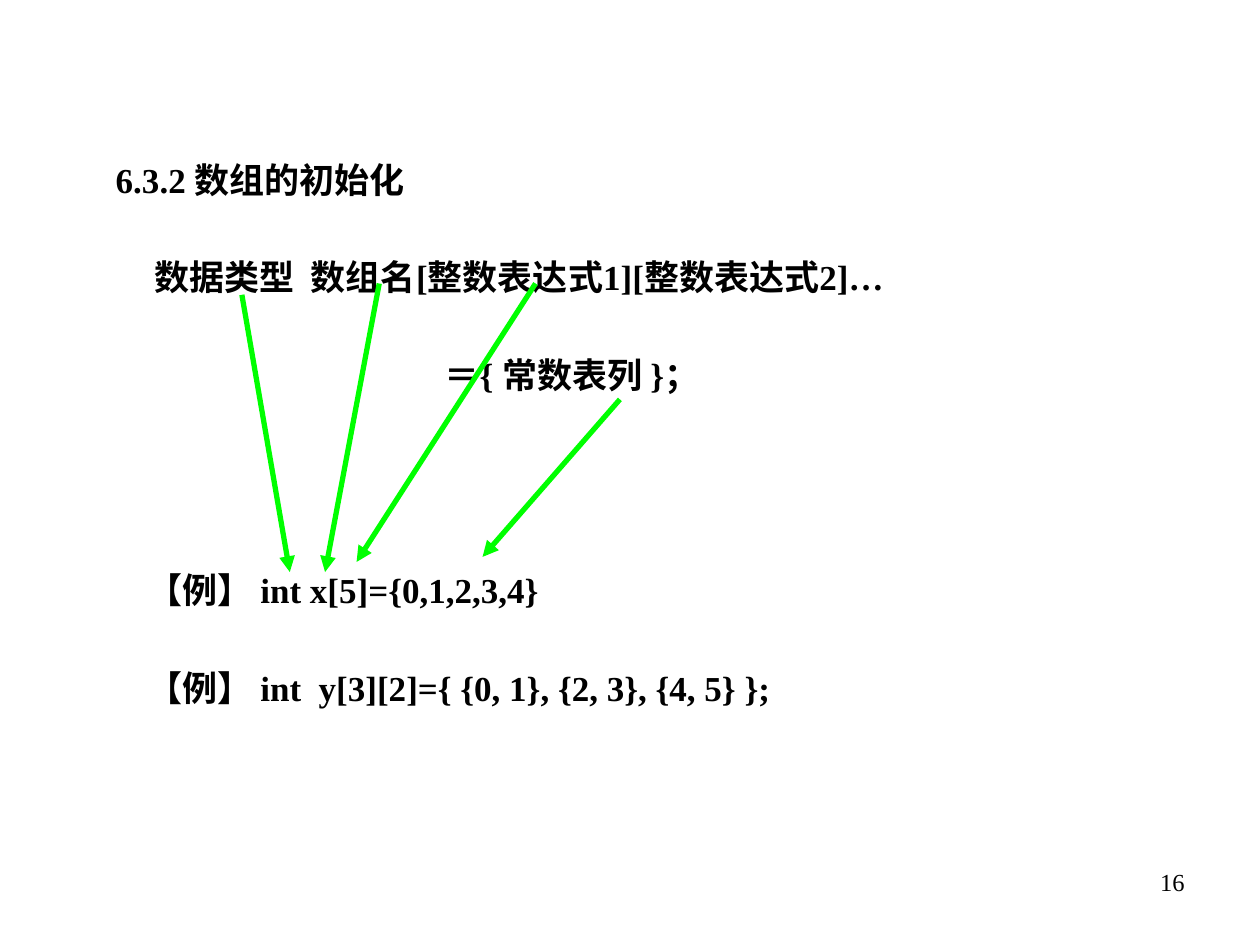
from dataclasses import dataclass

from lxml import etree
from pptx import Presentation
from pptx import util as u
from pptx.dml.color import RGBColor
from pptx.enum import shapes, text
from pptx.oxml import ns


@dataclass(frozen=True)
class Theme:
    font: str = "Times New Roman"
    ink: RGBColor = RGBColor(0, 0, 0)
    arrow: RGBColor = RGBColor(0, 255, 0)
    body_size: float = 20
    number_size: float = 14
    arrow_width: float = 3
    line_spacing: float = 1.8
    gap: float = 12.5
    section_gap: float = 80


THEME = Theme()

# Text, left indent in inches, space before in points
LINES = [
    ("6.3.2 数组的初始化", 0, 0),
    ("数据类型  数组名[整数表达式1][整数表达式2]…", 0.31, THEME.gap),
    ("＝{ 常数表列 }；", 2.61, THEME.gap),
    ("【例】 int x[5]={0,1,2,3,4}", 0.25, THEME.section_gap),
    ("【例】 int  y[3][2]={ {0, 1}, {2, 3}, {4, 5} };", 0.25, THEME.gap),
]

# From each part of the syntax to its place in the example
ARROWS = [
    ((1.92, 2.34), (2.3, 4.54)),
    ((3.01, 2.25), (2.58, 4.54)),
    ((4.25, 2.25), (2.83, 4.46)),
    ((4.92, 3.17), (3.83, 4.42)),
]


def add_text_box(page, area):
    box = page.shapes.add_textbox(*map(u.Inches, area))
    box.text_frame.word_wrap = True
    return box.text_frame


def add_span(para, words, size, bold=False):
    span = para.add_run()
    span.text = words
    span.font.name = THEME.font
    span.font.size = u.Pt(size)
    span.font.bold = bold
    span.font.color.rgb = THEME.ink


def add_lesson(page, area):
    frame = add_text_box(page, area)
    for index, (words, indent, before) in enumerate(LINES):
        para = frame.add_paragraph() if index else frame.paragraphs[0]
        para.line_spacing = THEME.line_spacing
        para.space_before = u.Pt(before)
        properties = para._p.get_or_add_pPr()
        properties.set("marL", str(u.Inches(indent)))
        properties.set("indent", "0")
        add_span(para, words, THEME.body_size, bold=True)


def add_arrow(page, start, end):
    arrow = page.shapes.add_connector(
        shapes.MSO_CONNECTOR.STRAIGHT, *map(u.Inches, start + end))
    arrow.line.color.rgb = THEME.arrow
    arrow.line.width = u.Pt(THEME.arrow_width)
    head = etree.SubElement(arrow.line._get_or_add_ln(), ns.qn("a:tailEnd"))
    head.set("type", "triangle")
    etree.SubElement(arrow._element.spPr, ns.qn("a:effectLst"))


def add_page_number(page, area, number):
    para = add_text_box(page, area).paragraphs[0]
    para.alignment = text.PP_ALIGN.RIGHT
    add_span(para, number, THEME.number_size)


def main():
    deck = Presentation()
    deck.slide_width, deck.slide_height = u.Inches(10), u.Inches(7.5)
    page = deck.slides.add_slide(deck.slide_layouts[6])

    # Page number
    add_page_number(page, (7.17, 6.83, 2.33, 0.52), "16")

    # Syntax and examples
    add_lesson(page, (0.82, 0.94, 8.75, 5.33))

    # Arrows from syntax to example
    for start, end in ARROWS:
        add_arrow(page, start, end)

    deck.save("out.pptx")


if __name__ == "__main__":
    main()
